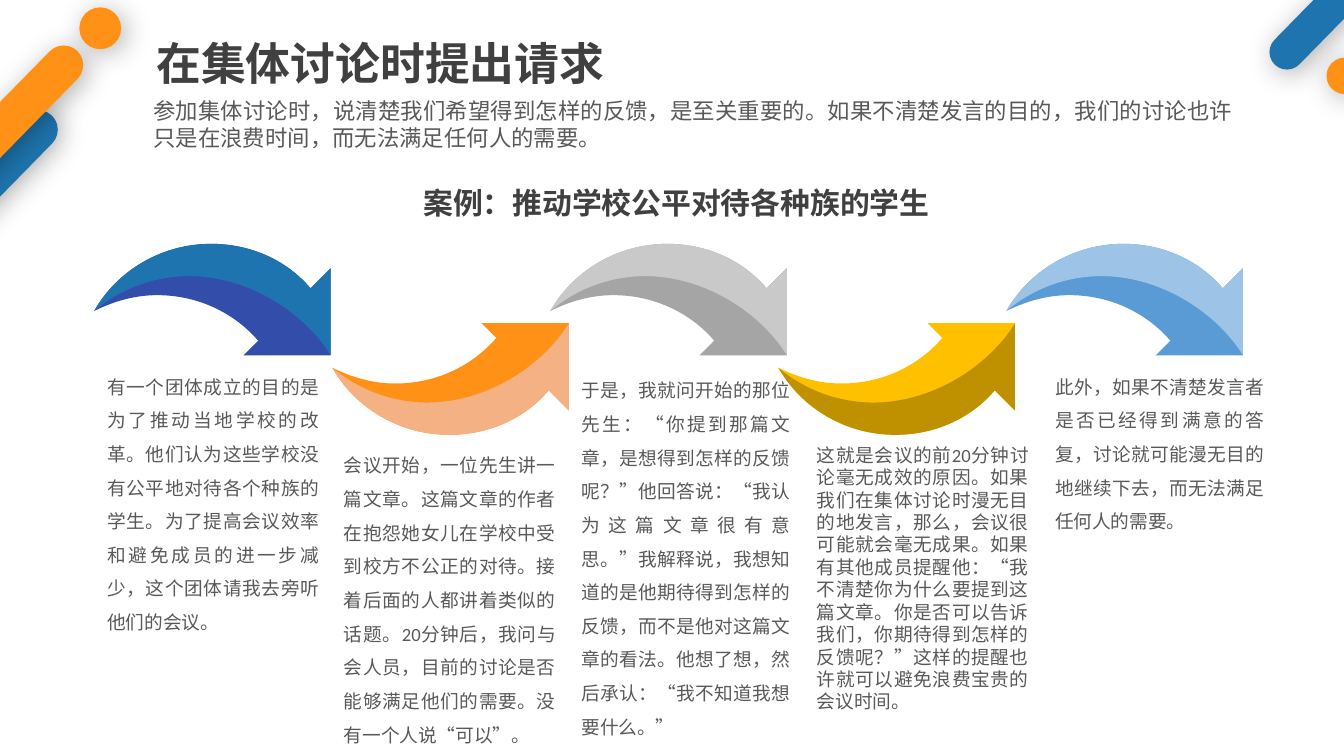
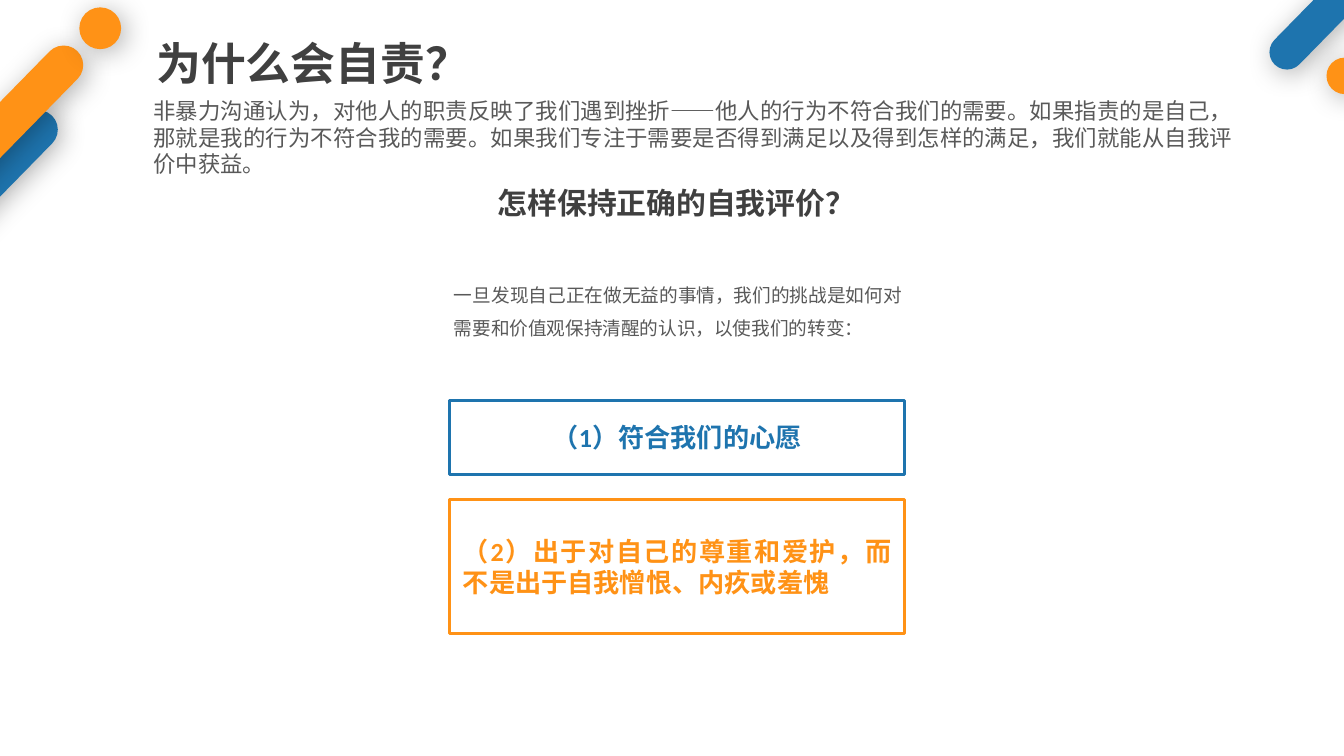
from dataclasses import dataclass

from lxml import etree
from pptx import Presentation
from pptx import util as u
from pptx.dml.color import RGBColor
from pptx.enum import lang, shapes, text
from pptx.oxml import ns

BLUE, ORANGE = "1E74AE", "FF9216"
DARK, GREY = "404040", "595959"
LATIN, CJK = "Calibri", "Noto Sans CJK SC"
LEFT, CENTER, JUSTIFY = text.PP_ALIGN.LEFT, text.PP_ALIGN.CENTER, text.PP_ALIGN.JUSTIFY
RECT, OVAL = shapes.MSO_SHAPE.RECTANGLE, shapes.MSO_SHAPE.OVAL
ROUND = shapes.MSO_SHAPE.ROUNDED_RECTANGLE


@dataclass
class Box:
    """A place on the slide, in centimetres."""
    left: float
    top: float
    width: float
    height: float

    def emu(self) -> list:
        return [u.Cm(v) for v in (self.left, self.top, self.width, self.height)]


@dataclass
class Style:
    size: float
    color: str
    bold: bool = False
    align: text.PP_ALIGN = JUSTIFY
    spacing: float = 1.0
    font: str = LATIN


@dataclass
class Decoration:
    kind: shapes.MSO_SHAPE
    box: Box
    color: str
    rotation: float = 0


@dataclass
class Step:
    """One stage of the case: an arrow in two colours and its story."""
    arrow_left: float
    rising: bool
    base: str
    overlay: str
    box: Box
    story: str
    spacing: float = 1.5


TITLE = Style(24, DARK, True, LEFT, font=CJK)
INTRO = Style(12, GREY)
HEADING = Style(16, DARK, True, CENTER)

DECORATIONS = [
    Decoration(ROUND, Box(-0.9, 1.57, 0.74, 4.32), BLUE, 44.4),
    Decoration(ROUND, Box(25.45, -2.92, 0.66, 4.83), BLUE, 44.4),
    Decoration(OVAL, Box(25.07, 1.09, 0.69, 0.69), ORANGE),
    Decoration(ROUND, Box(-0.42, 0.35, 0.74, 4.32), ORANGE, 44.4),
    Decoration(OVAL, Box(1.5, 0.14, 0.79, 0.79), ORANGE),
]

# Arrow outlines in cm: a pair is a corner, three pairs are a Bézier segment.
ARROW_HEIGHT = 2.11
SHOULDER, TIP = (4.09, 0.84), (4.47, 0.46)
BACK = [
    ((3.63, 0.3), (2.95, 0), (2.21, 0)),
    ((1.27, 0), (0.43, 0.51), (0, 1.27)),
]
ARROW = [
    SHOULDER, *BACK,
    ((0.36, 1.09), (0.76, 0.97), (1.19, 0.97)),
    ((1.96, 0.97), (2.64, 1.3), (3.1, 1.83)),
    (2.82, 2.11), (4.47, 2.11), TIP,
]
OVERLAY = [
    TIP, SHOULDER, *BACK,
    ((0.48, 0.86), (1.12, 0.61), (1.8, 0.61)),
    ((2.84, 0.61), (3.91, 1.22), (4.47, 2.1)),
]

STEPS = [
    Step(1.78, False, "334EAA", BLUE, Box(1.78, 6.76, 4.5, 5.38),
         "有一个团体成立的目的是为了推动当地学校的改革。他们认为这些学校没有公平地对待"
         "各个种族的学生。为了提高会议效率和避免成员的进一步减少，这个团体请我去旁听他们的会议。"),
    Step(6.28, True, ORANGE, "F4B183", Box(6.25, 8.25, 4.5, 6.02),
         "会议开始，一位先生讲一篇文章。这篇文章的作者在抱怨她女儿在学校中受到校方不公正的对待。"
         "接着后面的人都讲着类似的话题。20分钟后，我问与会人员，目前的讨论是否能够满足他们的需要。"
         "没有一个人说“可以”。"),
    Step(10.4, False, "A5A5A5", "C9C9C9", Box(10.74, 6.83, 4.45, 6.65),
         "于是，我就问开始的那位先生：“你提到那篇文章，是想得到怎样的反馈呢？”他回答说："
         "“我认为这篇文章很有意思。”我解释说，我想知道的是他期待得到怎样的反馈，"
         "而不是他对这篇文章的看法。他想了想，然后承认：“我不知道我想要什么。”"),
    Step(14.71, True, "FFC000", "BF9000", Box(15.19, 8.26, 4.5, 5.38),
         "这就是会议的前20分钟讨论毫无成效的原因。如果我们在集体讨论时漫无目的地发言，那么，"
         "会议很可能就会毫无成果。如果有其他成员提醒他：“我不清楚你为什么要提到这篇文章。"
         "你是否可以告诉我们，你期待得到怎样的反馈呢？”这样的提醒也许就可以避免浪费宝贵的会议时间。",
         1.0),
    Step(19.02, False, "5B9BD5", "9DC3E6", Box(19.69, 6.76, 4.45, 3.45),
         "此外，如果不清楚发言者是否已经得到满意的答复，讨论就可能漫无目的地继续下去，"
         "而无法满足任何人的需要。"),
]


def rgb(value: str) -> RGBColor:
    return RGBColor.from_string(value)


def write(sp, content: str, style: Style) -> None:
    tf = sp.text_frame
    tf.word_wrap = True
    tf.text = content
    p = tf.paragraphs[0]
    p.alignment, p.line_spacing = style.align, style.spacing
    p._p.get_or_add_pPr().set("hangingPunct", "0")
    r = p.runs[0]
    font = r.font
    font.size, font.bold, font.name = u.Pt(style.size), style.bold, style.font
    font.color.rgb = rgb(style.color)
    font.language_id = lang.MSO_LANGUAGE_ID.SIMPLIFIED_CHINESE
    etree.SubElement(r._r.get_or_add_rPr(), ns.qn("a:ea"), typeface=CJK)


def add_text(slide, box: Box, content: str, style: Style, inset: bool = True) -> None:
    sp = slide.shapes.add_textbox(*box.emu())
    write(sp, content, style)
    tf = sp.text_frame
    tf.auto_size = text.MSO_AUTO_SIZE.SHAPE_TO_FIT_TEXT
    if not inset:
        tf.margin_left = tf.margin_top = tf.margin_right = tf.margin_bottom = 0


def add_soft_shadow(sp) -> None:
    effects = etree.SubElement(sp._element.spPr, ns.qn("a:effectLst"))
    shadow = etree.SubElement(effects, ns.qn("a:outerShdw"), blurRad=str(u.Pt(15)),
                              dist=str(u.Pt(3)), dir="2700000", algn="tl", rotWithShape="0")
    color = etree.SubElement(shadow, ns.qn("a:srgbClr"), val="000000")
    etree.SubElement(color, ns.qn("a:alpha"), val="30000")


def fill_only(sp, color: str) -> None:
    sp.fill.solid()
    sp.fill.fore_color.rgb = rgb(color)
    sp.line.fill.background()


def add_decoration(slide, item: Decoration) -> None:
    sp = slide.shapes.add_shape(item.kind, *item.box.emu())
    if item.kind == ROUND:
        sp.adjustments[0] = 0.5
    sp.rotation = item.rotation
    fill_only(sp, item.color)
    add_soft_shadow(sp)


def is_curve(part: tuple) -> bool:
    return len(part) == 3


def bend_segments(sp, outline: list) -> None:
    """Merge the three straight segments of each Bézier part into one curve."""
    segments = iter(sp._element.findall(".//" + ns.qn("a:lnTo")))
    for part in outline[1:]:
        first = next(segments)
        if not is_curve(part):
            continue
        curve = etree.Element(ns.qn("a:cubicBezTo"))
        first.addprevious(curve)
        for segment in (first, next(segments), next(segments)):
            curve.append(segment[0])
            segment.getparent().remove(segment)


def add_outline(slide, outline: list, left: float, rising: bool, color: str) -> None:
    top = 6.11 if rising else 4.61
    points = [point for part in outline for point in (part if is_curve(part) else [part])]
    points = [(u.Cm(left + x), u.Cm(top + (ARROW_HEIGHT - y if rising else y)))
              for x, y in points]
    builder = slide.shapes.build_freeform(*points[0])
    builder.add_line_segments(points[1:], close=True)
    sp = builder.convert_to_shape()
    bend_segments(sp, outline)
    sp.shadow.inherit = False
    fill_only(sp, color)


def add_frame(slide, box: Box, content: str, color: str, align: text.PP_ALIGN) -> None:
    sp = slide.shapes.add_shape(RECT, *box.emu())
    sp.shadow.inherit = False
    sp.fill.background()
    sp.line.color.rgb = rgb(color)
    sp.line.width = u.Pt(1.5)
    write(sp, content, Style(14, color, True, align))
    sp.text_frame.vertical_anchor = text.MSO_ANCHOR.MIDDLE


def add_slide(prs, title: str, intro: str, intro_height: float, heading: str):
    slide = prs.slides.add_slide(prs.slide_layouts[5])
    sp = slide.shapes.title
    for item in DECORATIONS:
        add_decoration(slide, item)
    sp._element.getparent().append(sp._element)
    sp.left, sp.top, sp.width, sp.height = Box(2.7, 0.55, 15.01, 1.27).emu()
    write(sp, title, TITLE)
    sp.text_frame.vertical_anchor = text.MSO_ANCHOR.TOP
    sp.text_frame.auto_size = text.MSO_AUTO_SIZE.SHAPE_TO_FIT_TEXT
    add_text(slide, Box(2.9, 1.83, 20.42, intro_height), intro, INTRO, inset=False)
    add_text(slide, Box(7.69, 3.49, 10.2, 0.69), heading, HEADING, inset=False)
    return slide


def build_case(prs) -> None:
    slide = add_slide(
        prs, "在集体讨论时提出请求",
        "参加集体讨论时，说清楚我们希望得到怎样的反馈，是至关重要的。如果不清楚发言的目的，"
        "我们的讨论也许只是在浪费时间，而无法满足任何人的需要。",
        1.02, "案例：推动学校公平对待各种族的学生")
    for step in STEPS:
        add_outline(slide, ARROW, step.arrow_left, step.rising, step.base)
        add_outline(slide, OVERLAY, step.arrow_left, step.rising, step.overlay)
    for step in STEPS:
        add_text(slide, step.box, step.story, Style(10, GREY, spacing=step.spacing))


def build_self_blame(prs) -> None:
    slide = add_slide(
        prs, "为什么会自责？",
        "非暴力沟通认为，对他人的职责反映了我们遇到挫折——他人的行为不符合我们的需要。"
        "如果指责的是自己，那就是我的行为不符合我的需要。如果我们专注于需要是否得到满足"
        "以及得到怎样的满足，我们就能从自我评价中获益。",
        1.55, "怎样保持正确的自我评价？")
    add_text(slide, Box(8.33, 5.02, 8.96, 1.52),
             "一旦发现自己正在做无益的事情，我们的挑战是如何对需要和价值观保持清醒的认识，"
             "以使我们的转变：", Style(10, GREY, spacing=1.5))
    add_frame(slide, Box(8.5, 7.57, 8.6, 1.4), "（1）符合我们的心愿", BLUE, CENTER)
    add_frame(slide, Box(8.5, 9.44, 8.6, 2.54),
              "（2）出于对自己的尊重和爱护，而不是出于自我憎恨、内疚或羞愧", ORANGE, JUSTIFY)


def main() -> None:
    prs = Presentation()
    prs.slide_width, prs.slide_height = u.Cm(25.4), u.Cm(14.29)
    build_case(prs)
    build_self_blame(prs)
    prs.save("out.pptx")


if __name__ == "__main__":
    main()
